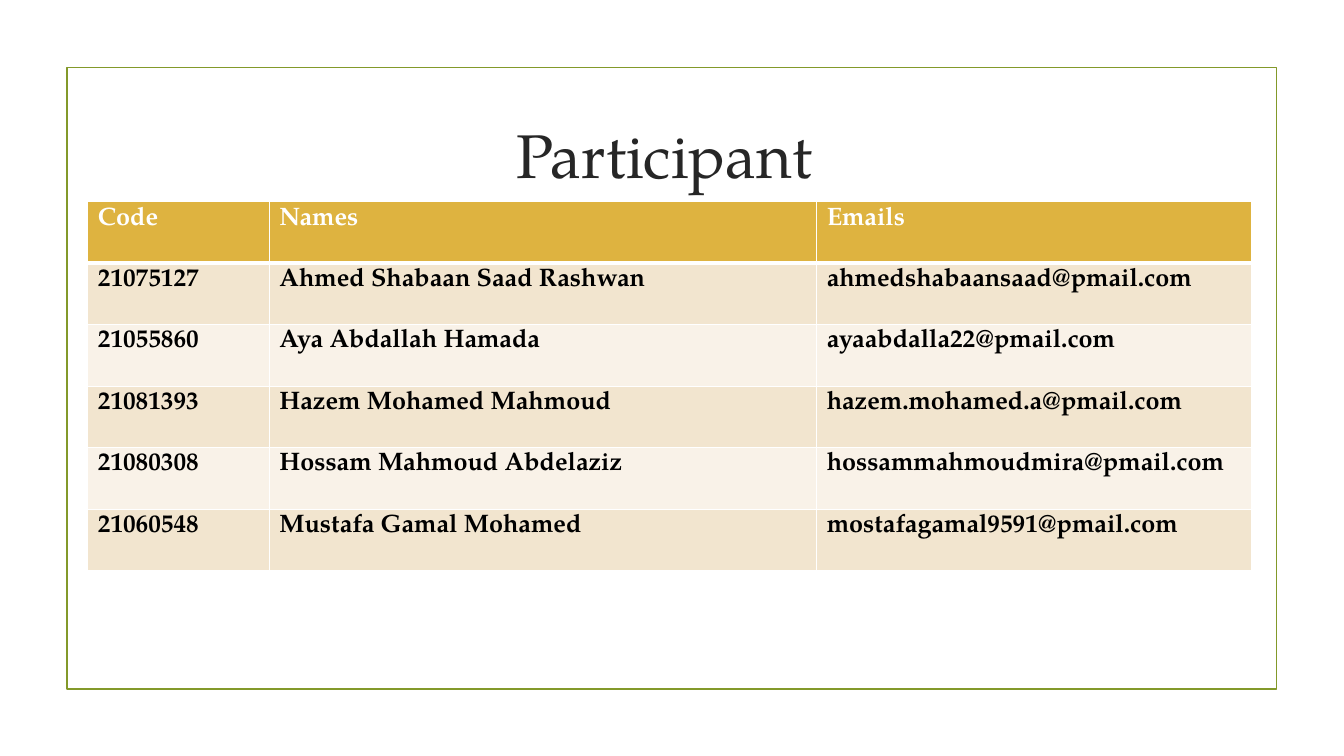
from dataclasses import astuple, dataclass

from lxml import etree
from pptx import Presentation
from pptx.dml.color import RGBColor
from pptx.enum import shapes, text
from pptx.oxml import ns
from pptx.util import Pt

FONT = "TeX Gyre Pagella"
GREEN, GOLD, WHITE = "83992A", "DEB340", "FFFFFF"
BANDS = ("F2E5CF", "F9F2E8")
COLUMN_WIDTHS = (129.6, 390.96, 311.04)
ROW_HEIGHT = 43.92


@dataclass
class Participant:
    code: str
    name: str
    email: str


HEADER = Participant("Code", "Names", "Emails")
PARTICIPANTS = [
    Participant("21075127", "Ahmed Shabaan Saad Rashwan", "ahmedshabaansaad@pmail.com"),
    Participant("21055860", "Aya Abdallah Hamada", "ayaabdalla22@pmail.com"),
    Participant("21081393", "Hazem Mohamed Mahmoud", "hazem.mohamed.a@pmail.com"),
    Participant("21080308", "Hossam Mahmoud Abdelaziz", "hossammahmoudmira@pmail.com"),
    Participant("21060548", "Mustafa Gamal Mohamed", "mostafagamal9591@pmail.com"),
]


def color(value: str) -> RGBColor:
    return RGBColor.from_string(value)


def write(frame, content: str, *, size: float, fill: str, bold: bool = False,
          align=text.PP_ALIGN.LEFT, anchor=text.MSO_ANCHOR.TOP) -> None:
    frame.word_wrap = True
    frame.vertical_anchor = anchor
    paragraph = frame.paragraphs[0]
    paragraph.alignment = align
    run = paragraph.add_run()
    run.text = content
    run.font.name = FONT
    run.font.size = Pt(size)
    run.font.bold = bold
    run.font.color.rgb = color(fill)


def set_borders(cell, widths: dict[str, float]) -> None:
    properties = cell._tc.get_or_add_tcPr()
    for position, (side, width) in enumerate(widths.items()):
        line = etree.Element(ns.qn(f"a:ln{side}"), w=str(Pt(width)))
        solid = etree.SubElement(line, ns.qn("a:solidFill"))
        etree.SubElement(solid, ns.qn("a:srgbClr"), val=WHITE)
        properties.insert(position, line)


def add_frame(slide) -> None:
    frame = slide.shapes.add_shape(
        shapes.MSO_SHAPE.RECTANGLE, Pt(47.8), Pt(48.2), Pt(864), Pt(444))
    frame.shadow.inherit = False
    frame.fill.background()
    frame.line.color.rgb = color(GREEN)
    frame.line.width = Pt(1.25)


def add_title(slide) -> None:
    title = slide.shapes.title
    title.left, title.top = Pt(102.2), Pt(77)
    title.width, title.height = Pt(756), Pt(66.2)
    write(title.text_frame, "Participant ", size=44, fill="262626",
          align=text.PP_ALIGN.CENTER, anchor=text.MSO_ANCHOR.MIDDLE)


def add_participants(slide) -> None:
    rows = [HEADER, *PARTICIPANTS]
    table = slide.shapes.add_table(
        len(rows), len(COLUMN_WIDTHS), Pt(62.8), Pt(144.2),
        Pt(sum(COLUMN_WIDTHS)), Pt(ROW_HEIGHT * len(rows))).table
    for column, width in zip(table.columns, COLUMN_WIDTHS):
        column.width = Pt(width)
    for index, participant in enumerate(rows):
        table.rows[index].height = Pt(ROW_HEIGHT)
        is_header = index == 0
        background = GOLD if is_header else BANDS[(index - 1) % 2]
        borders = {"L": 1, "R": 1, "T": 3 if index == 1 else 1, "B": 3 if is_header else 1}
        for cell, content in zip(table.rows[index].cells, astuple(participant)):
            cell.fill.solid()
            cell.fill.fore_color.rgb = color(background)
            set_borders(cell, borders)
            write(cell.text_frame, content, size=18, bold=True,
                  fill=WHITE if is_header else "000000")


def main() -> None:
    presentation = Presentation()
    presentation.slide_width, presentation.slide_height = Pt(960), Pt(540)
    slide = presentation.slides.add_slide(presentation.slide_layouts.get_by_name("Title Only"))
    slide.background.fill.solid()
    slide.background.fill.fore_color.rgb = color(WHITE)

    # Frame, heading and list of participants
    add_frame(slide)
    add_title(slide)
    add_participants(slide)
    presentation.save("out.pptx")


if __name__ == "__main__":
    main()
